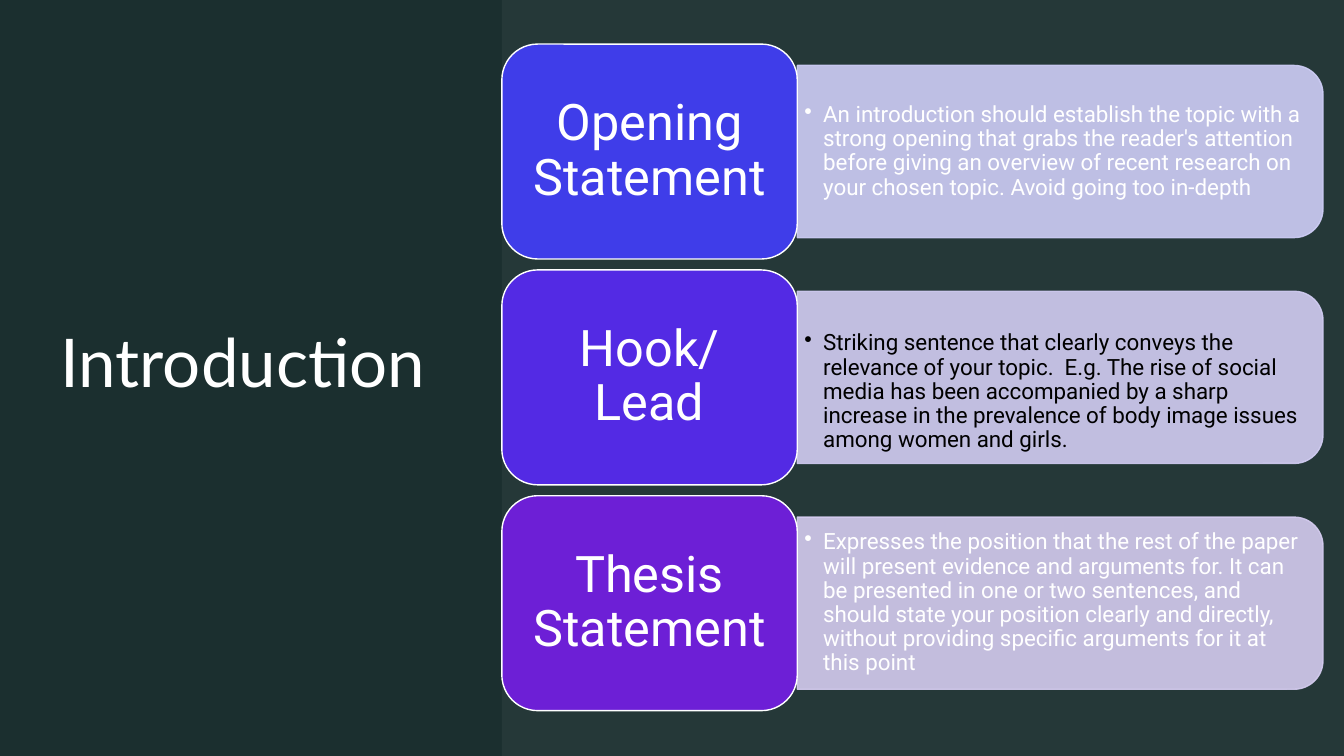
"""Build the slide on the three parts of an introduction."""
from lxml.etree import SubElement
from pptx import Presentation
from pptx.dml.color import RGBColor
from pptx.enum.shapes import MSO_SHAPE
from pptx.enum.text import MSO_ANCHOR, PP_ALIGN
from pptx.oxml.ns import qn
from pptx.util import Pt

WIDE, HIGH = 960, 540
SPLIT = 358.5
BLOCK_W, BLOCK_H = 211, 153.5
PANEL_W, PANEL_H = 375.5, 123
TOP, STEP = 31.5, 161.3

WHITE = RGBColor(0xFF, 0xFF, 0xFF)
BLACK = RGBColor(0x00, 0x00, 0x00)
DARK = RGBColor(0x1B, 0x2F, 0x2F)
MIST = RGBColor(0xE3, 0xEF, 0xEF)
BLUE = RGBColor(0x3F, 0x3D, 0xE9)
INDIGO = RGBColor(0x53, 0x2A, 0xE4)
PURPLE = RGBColor(0x6D, 0x1F, 0xD6)
PALE_BLUE = RGBColor(0xCF, 0xCE, 0xF7)
PALE_INDIGO = RGBColor(0xD2, 0xCD, 0xF3)
PALE_PURPLE = RGBColor(0xD5, 0xCC, 0xF0)

ROWS = [
    ("Opening Statement", BLUE, PALE_BLUE, WHITE, 2,
     "An introduction should establish the topic with a strong opening "
     "that grabs the reader's attention before giving an overview of recent "
     "research on your chosen topic. Avoid going too in-depth"),
    ("Hook/Lead", INDIGO, PALE_INDIGO, BLACK, 23,
     "Striking sentence that clearly conveys the relevance of your topic.  "
     "E.g. The rise of social media has been accompanied by a sharp increase "
     "in the prevalence of body image issues among women and girls."),
    ("Thesis Statement", PURPLE, PALE_PURPLE, WHITE, 2,
     "Expresses the position that the rest of the paper will present evidence "
     "and arguments for. It can be presented in one or two sentences, and "
     "should state your position clearly and directly, without providing "
     "specific arguments for it at this point"),
]


def fade(fill, share):
    """Give a solid fill an opacity in percent."""
    for tone in fill._xPr.iter(qn("a:srgbClr")):
        SubElement(tone, qn("a:alpha"), val=str(share * 1000))


def add_form(slide, kind, box, color, edge=None):
    """Add a flat preset shape with an optional outline."""
    form = slide.shapes.add_shape(kind, *map(Pt, box))
    form.shadow.inherit = False
    form.fill.solid()
    form.fill.fore_color.rgb = color
    if edge is None:
        form.line.fill.background()
    else:
        form.line.color.rgb = edge
        form.line.width = Pt(1)
    return form


def add_text(shape, text, font, size, color, pads, align=PP_ALIGN.LEFT):
    """Write one run into a shape and return its paragraph."""
    frame = shape.text_frame
    frame.word_wrap = True
    frame.vertical_anchor = MSO_ANCHOR.MIDDLE
    frame.margin_left = frame.margin_right = Pt(pads[0])
    frame.margin_top, frame.margin_bottom = Pt(pads[1]), Pt(pads[2])
    para = frame.paragraphs[0]
    para.alignment = align
    para.line_spacing = 0.9
    run = para.add_run()
    run.text = text
    run.font.name = font
    run.font.size = Pt(size)
    run.font.color.rgb = color
    return para


def add_bullet(para):
    """Put a hanging bullet before a paragraph."""
    props = para._p.get_or_add_pPr()
    props.set("marL", str(Pt(13.5)))
    props.set("indent", str(-Pt(13.5)))
    SubElement(props, qn("a:buChar"), char="•")


def add_panel(slide, top, tint, ink, pad, text):
    """Add a pale panel rounded on the right, with its bullet text."""
    left = SPLIT + BLOCK_W
    box = (left + (PANEL_W - PANEL_H) / 2, top + (PANEL_H - PANEL_W) / 2,
           PANEL_H, PANEL_W)
    panel = add_form(slide, MSO_SHAPE.ROUND_2_SAME_RECTANGLE, box, tint, tint)
    panel.rotation = 90
    fade(panel.fill, 90)
    note = slide.shapes.add_textbox(Pt(left), Pt(top + 6), Pt(369.5), Pt(111))
    add_bullet(add_text(note, text, "Roboto", 16, ink, (5, pad, 2)))


def add_block(slide, top, label, color):
    """Add a bright rounded block with its label."""
    box = (SPLIT, top, BLOCK_W, BLOCK_H)
    block = add_form(slide, MSO_SHAPE.ROUNDED_RECTANGLE, box, color, WHITE)
    add_text(block, label, "Roboto", 36, WHITE, (12, 5, 5), PP_ALIGN.CENTER)


def main():
    """Lay out the title, the backdrop and the three rows."""
    deck = Presentation()
    deck.slide_width, deck.slide_height = Pt(WIDE), Pt(HIGH)
    slide = deck.slides.add_slide(deck.slide_layouts[6])
    slide.background.fill.solid()
    slide.background.fill.fore_color.rgb = DARK
    side = add_form(slide, MSO_SHAPE.RECTANGLE,
                    (SPLIT, 0, WIDE - SPLIT, HIGH), MIST)
    fade(side.fill, 5)
    title = slide.shapes.add_textbox(Pt(43.2), Pt(43.2), Pt(281), Pt(436.3))
    add_text(title, "Introduction", "Lato", 48, WHITE, (0, 0, 0))
    for row, (label, color, tint, ink, pad, text) in enumerate(ROWS):
        top = TOP + row * STEP
        add_panel(slide, top + (BLOCK_H - PANEL_H) / 2, tint, ink, pad, text)
        add_block(slide, top, label, color)
    deck.save("out.pptx")


if __name__ == "__main__":
    main()
